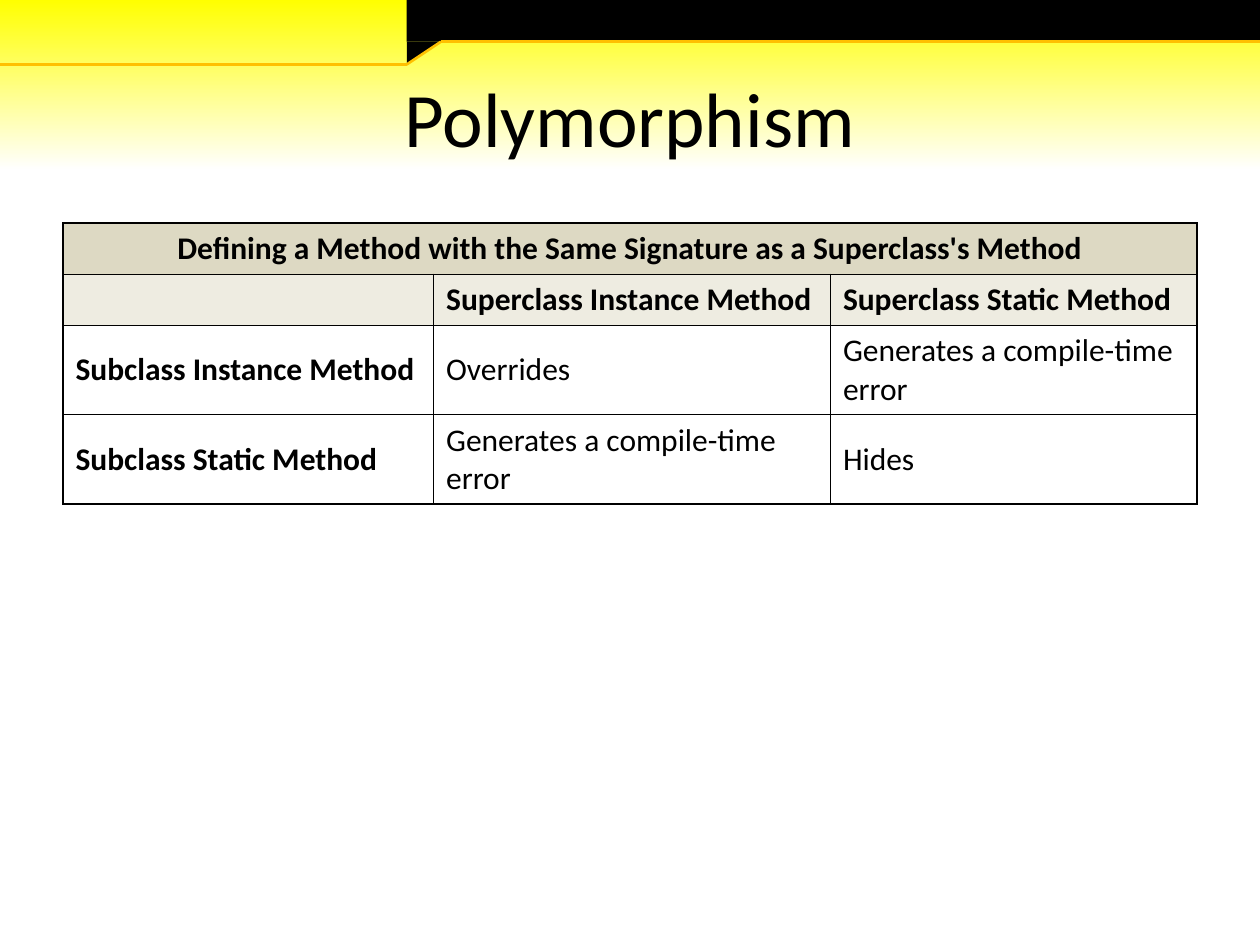
from lxml.etree import SubElement
from pptx import Presentation
from pptx.dml.color import RGBColor
from pptx.enum.shapes import MSO_CONNECTOR, MSO_SHAPE
from pptx.enum.text import MSO_ANCHOR, PP_ALIGN
from pptx.oxml import parse_xml
from pptx.oxml.ns import nsdecls, qn
from pptx.util import Cm, Pt

COLORS = {
    "yellow": "FFFF00",
    "white": "FFFFFF",
    "black": "000000",
    "amber": "FFC000",
    "heading": "DDD9C3",
    "subheading": "EEECE1",
}
FONT = "Calibri"
TABLE_TITLE = "Defining a Method with the Same Signature as a Superclass's Method"
METHOD_ROWS = [
    [TABLE_TITLE, "", ""],
    ["", "Superclass Instance Method", "Superclass Static Method"],
    ["Subclass Instance Method", "Overrides", "Generates a compile-time error"],
    ["Subclass Static Method", "Generates a compile-time error", "Hides"],
]
COLUMN_WIDTHS = [7.47, 8.0, 7.39]
ROW_HEIGHTS = [1.03, 1.03, 1.8, 1.8]
ROW_FILLS = ["heading", "subheading", None, None]


def color(name):
    """Return the named colour."""
    return RGBColor.from_string(COLORS[name])


def format_text(text_frame, size, bold=False, alignment=PP_ALIGN.LEFT):
    """Format every paragraph of a text frame."""
    for paragraph in text_frame.paragraphs:
        paragraph.alignment = alignment
        paragraph.font.name = FONT
        paragraph.font.size = Pt(size)
        paragraph.font.bold = bold
        paragraph.font.color.rgb = color("black")


def paint_background(slide):
    """Fade the background from yellow at the top to white."""
    fill = slide.background.fill
    fill.gradient()
    fill.gradient_angle = 270
    for stop, name, position in zip(fill.gradient_stops, ("yellow", "white"), (0, 0.18)):
        stop.color.rgb = color(name)
        stop.position = position


def add_black_shape(slide, preset, left, top, width, height):
    """Add a plain black shape without an outline."""
    shape = slide.shapes.add_shape(preset, Cm(left), Cm(top), Cm(width), Cm(height))
    shape.shadow.inherit = False
    shape.fill.solid()
    shape.fill.fore_color.rgb = color("black")
    shape.line.fill.background()
    return shape


def add_header_band(slide, left, top, width, height):
    """Draw the black band, its slanted corner and the amber edge."""
    tab, slant, band = left + 8.2, 0.69, 0.84
    add_black_shape(slide, MSO_SHAPE.RECTANGLE, tab, top, left + width - tab, band)
    corner = add_black_shape(
        slide, MSO_SHAPE.ISOSCELES_TRIANGLE, tab, top + band, slant, height - band
    )
    corner.adjustments[0] = 1
    corner.rotation = 180

    edge = [
        (left, top + height),
        (tab, top + height),
        (tab + slant, top + band),
        (left + width, top + band),
    ]
    for start, end in zip(edge, edge[1:]):
        points = [Cm(value) for value in start + end]
        line = slide.shapes.add_connector(MSO_CONNECTOR.STRAIGHT, *points)
        line.line.color.rgb = color("amber")
        line.line.width = Pt(1.5)
        SubElement(line.element.spPr, qn("a:effectLst"))


def add_title(slide, text, left, top, width, height):
    """Add the centred slide title."""
    title = slide.shapes.add_textbox(Cm(left), Cm(top), Cm(width), Cm(height))
    text_frame = title.text_frame
    text_frame.word_wrap = True
    text_frame.vertical_anchor = MSO_ANCHOR.MIDDLE
    text_frame.text = text
    format_text(text_frame, 44, alignment=PP_ALIGN.CENTER)


def add_borders(cell):
    """Give a cell a thin black border on each side."""
    properties = cell._tc.get_or_add_tcPr()
    for index, side in enumerate(("lnL", "lnR", "lnT", "lnB")):
        border = parse_xml(
            f'<a:{side} {nsdecls("a")} w="{Pt(1)}"><a:solidFill>'
            f'<a:srgbClr val="{COLORS["black"]}"/></a:solidFill></a:{side}>'
        )
        properties.insert(index, border)


def add_method_table(slide, left, top, width, height):
    """Add the table of overriding and hiding rules."""
    table = slide.shapes.add_table(
        len(METHOD_ROWS), len(COLUMN_WIDTHS), Cm(left), Cm(top), Cm(width), Cm(height)
    ).table
    for column, column_width in zip(table.columns, COLUMN_WIDTHS):
        column.width = Cm(column_width)
    for row_index, texts in enumerate(METHOD_ROWS):
        table.rows[row_index].height = Cm(ROW_HEIGHTS[row_index])
        fill_name = ROW_FILLS[row_index]
        for column_index, text in enumerate(texts):
            cell = table.cell(row_index, column_index)
            cell.vertical_anchor = MSO_ANCHOR.MIDDLE
            cell.text_frame.text = text
            format_text(
                cell.text_frame,
                18,
                bold=fill_name is not None or column_index == 0,
                alignment=PP_ALIGN.LEFT if row_index else PP_ALIGN.CENTER,
            )
            if fill_name:
                cell.fill.solid()
                cell.fill.fore_color.rgb = color(fill_name)
            else:
                cell.fill.background()
            add_borders(cell)
    table.cell(0, 0).merge(table.cell(0, len(COLUMN_WIDTHS) - 1))


def main():
    """Build and save the presentation."""
    presentation = Presentation()
    presentation.slide_width = Cm(25.4)
    presentation.slide_height = Cm(19.05)
    slide = presentation.slides.add_slide(presentation.slide_layouts[6])
    paint_background(slide)
    add_header_band(slide, 0, 0, 25.4, 1.3)
    add_title(slide, "Polymorphism", 1.27, 0.76, 22.86, 3.18)
    add_method_table(slide, 1.27, 4.5, sum(COLUMN_WIDTHS), sum(ROW_HEIGHTS))
    presentation.save("out.pptx")


if __name__ == "__main__":
    main()
